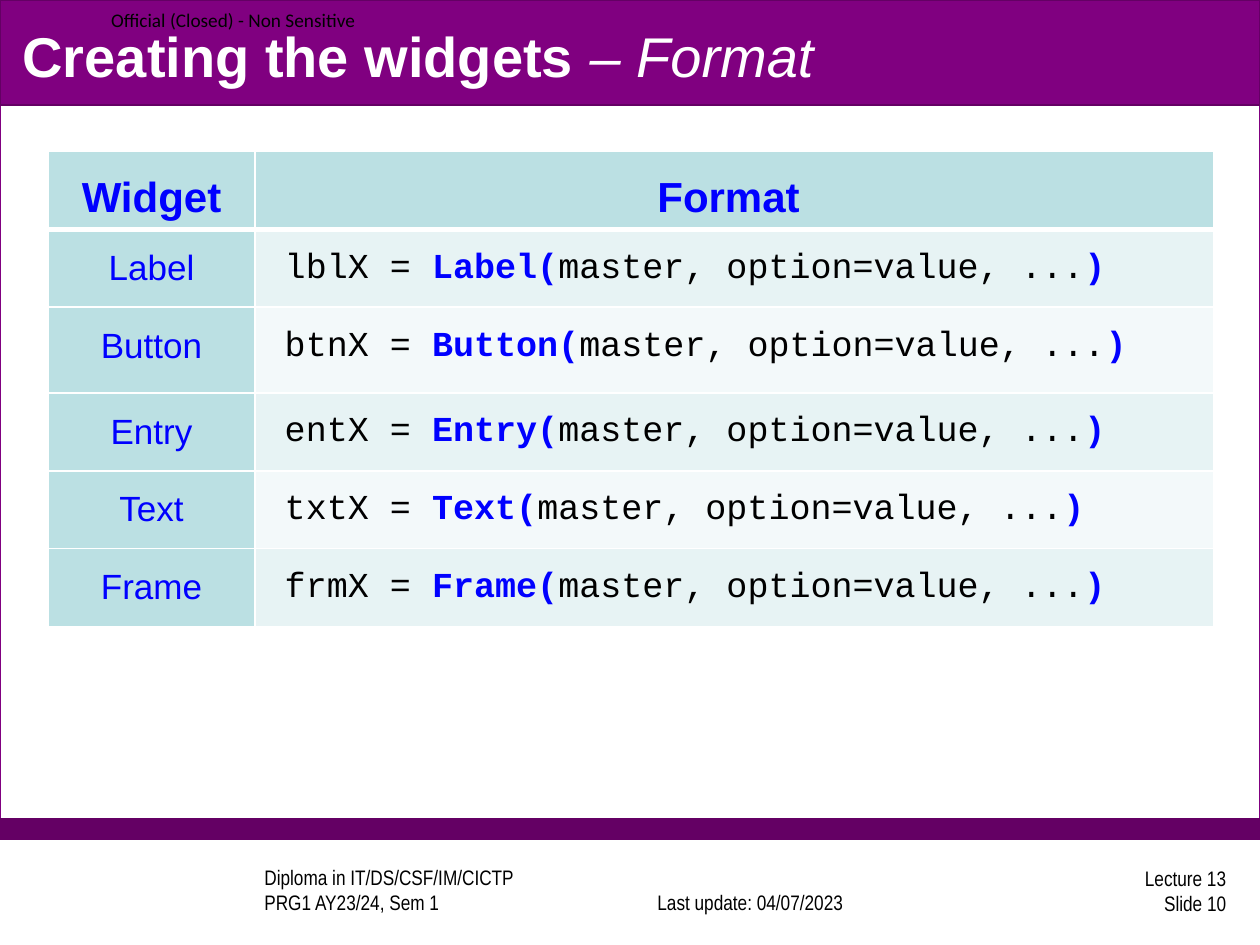
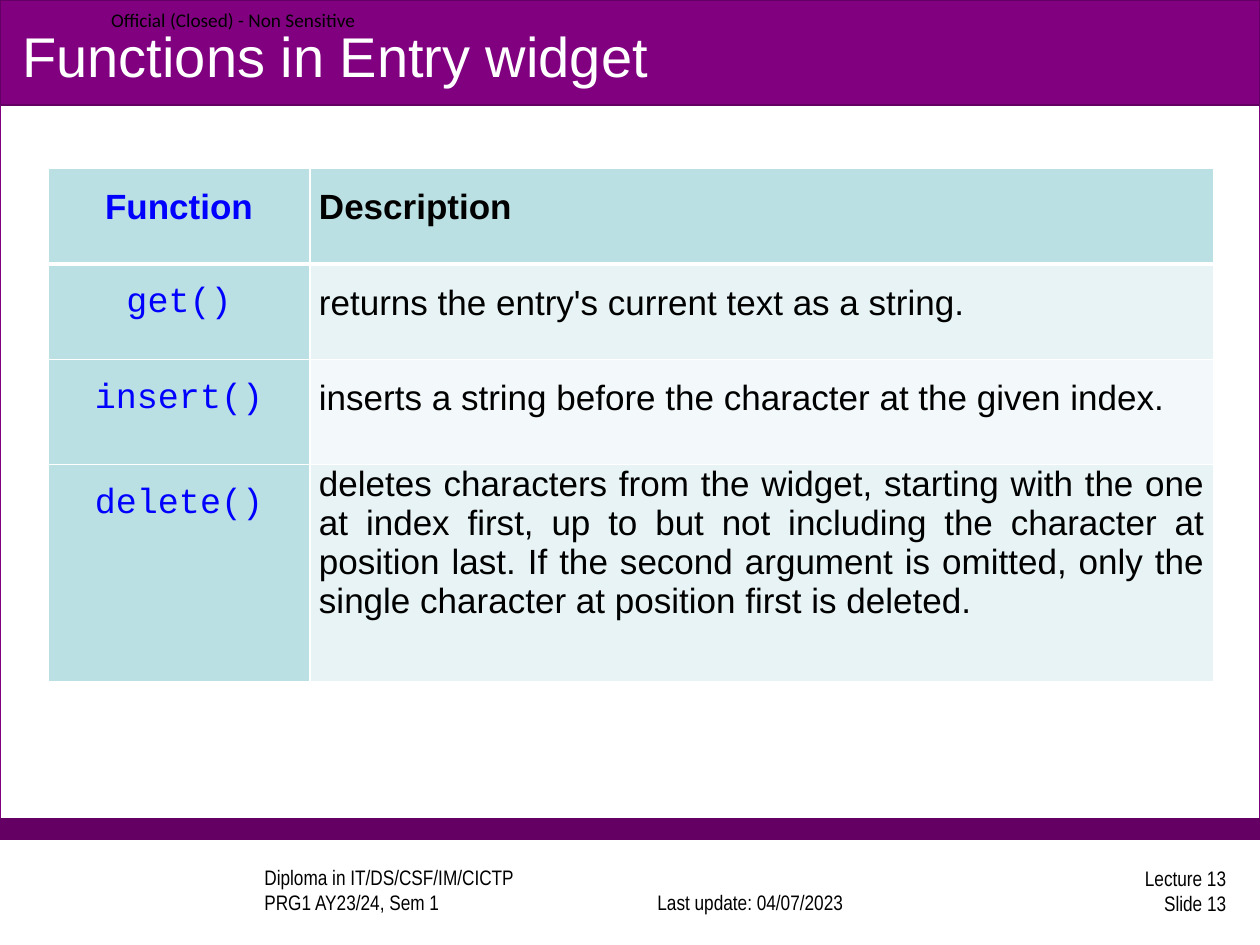
from copy import deepcopy
from dataclasses import dataclass

from lxml.etree import SubElement
from pptx import Presentation
from pptx.dml.color import RGBColor
from pptx.enum.shapes import MSO_SHAPE, PP_PLACEHOLDER
from pptx.enum.text import MSO_ANCHOR, MSO_AUTO_SIZE, PP_ALIGN
from pptx.oxml import parse_xml
from pptx.oxml.ns import nsdecls, qn
from pptx.util import Cm, Pt


@dataclass(frozen=True)
class Theme:
    """Colours, fonts and type sizes of the deck."""
    purple: str = "800080"
    dark_purple: str = "640064"
    white: str = "FFFFFF"
    black: str = "000000"
    blue: str = "0000FF"
    header_fill: str = "BBE0E3"
    band_fills: tuple = ("E7F3F4", "F3F9FA")
    sans: str = "Arial"
    narrow: str = "Arial Narrow"
    label: str = "Calibri"
    code: str = "Courier New"
    title_size: int = 32
    heading_size: int = 24
    body_size: int = 20
    footer_size: int = 12
    label_size: int = 11


THEME = Theme()
SLIDE_WIDTH = 25.4
CELL_INSET = 0.18
CODE_INSET = 0.6


def write_text(paragraph, text, font=THEME.sans, size=THEME.body_size,
               color=THEME.black, bold=False, italic=False):
    """Append formatted text to a paragraph; a newline becomes a line break."""
    previous = None
    for line in text.split("\n"):
        if previous is not None:
            paragraph.add_line_break()
            previous._r.getnext().append(deepcopy(previous._r.rPr))
        run = paragraph.add_run()
        run.text = line
        run.font.name = font
        run.font.size = Pt(size)
        run.font.color.rgb = RGBColor.from_string(color)
        run.font.bold = bold
        run.font.italic = italic
        previous = run


def add_band(slide, top, height, fill, line, opacity=None):
    """Add a full-width rectangle, optionally translucent."""
    band = slide.shapes.add_shape(MSO_SHAPE.RECTANGLE, 0, Cm(top),
                                  Cm(SLIDE_WIDTH), Cm(height))
    band.shadow.inherit = False
    band.fill.solid()
    band.fill.fore_color.rgb = RGBColor.from_string(fill)
    band.line.color.rgb = RGBColor.from_string(line)
    band.line.width = Pt(0.75)
    if opacity is not None:
        color = band.element.find(".//" + qn("a:srgbClr"))
        SubElement(color, qn("a:alpha")).set("val", str(opacity * 1000))
    return band


def add_text_box(slide, left, top, width, height, text, anchor=MSO_ANCHOR.MIDDLE,
                 align=PP_ALIGN.LEFT, left_inset=0.25, edge_inset=0.13, **text_format):
    """Add a wrapped text box holding one paragraph."""
    box = slide.shapes.add_textbox(Cm(left), Cm(top), Cm(width), Cm(height))
    frame = box.text_frame
    frame.word_wrap = True
    frame.vertical_anchor = anchor
    frame.margin_left = Cm(left_inset)
    frame.margin_top = frame.margin_bottom = Cm(edge_inset)
    paragraph = frame.paragraphs[0]
    paragraph.alignment = align
    write_text(paragraph, text, **text_format)
    return box


def add_footer(slide, left, top, width, text, **box_format):
    """Add one of the three footer texts."""
    return add_text_box(slide, left, top, width, 1.07, text, font=THEME.narrow,
                        size=THEME.footer_size, **box_format)


def build_layout(layout, slide):
    """Move the shared bands and texts onto the layout used by every slide."""
    for placeholder in list(layout.placeholders):
        if placeholder.placeholder_format.type != PP_PLACEHOLDER.TITLE:
            layout.shapes.element.remove(placeholder.element)
    shared = [
        add_band(slide, 0, 16.93, THEME.white, THEME.purple, opacity=90),
        add_band(slide, 16.51, 0.42, THEME.dark_purple, THEME.dark_purple),
        add_band(slide, 0, 2.12, THEME.purple, THEME.dark_purple),
        add_footer(slide, 3.81, 17.5, 8.05,
                   "Diploma in IT/DS/CSF/IM/CICTP\nPRG1 AY23/24, Sem 1",
                   anchor=MSO_ANCHOR.BOTTOM, left_inset=1.52),
        add_footer(slide, 12.48, 17.5, 5.29, "Last update: 04/07/2023",
                   anchor=MSO_ANCHOR.BOTTOM, align=PP_ALIGN.CENTER),
        add_text_box(slide, 0, 0, 7.65, 0.79, "Official (Closed) - Non Sensitive",
                     left_inset=2.24, edge_inset=0, font=THEME.label,
                     size=THEME.label_size),
    ]
    for shape in shared:
        layout.shapes.element.append(shape.element)


def set_title(slide, parts):
    """Place the title and write its (text, format) parts."""
    title = slide.shapes.title
    title.left, title.top, title.width, title.height = (
        Cm(0.2), Cm(0.33), Cm(24.97), Cm(1.57))
    frame = title.text_frame
    frame.auto_size = MSO_AUTO_SIZE.NONE
    frame.vertical_anchor = MSO_ANCHOR.MIDDLE
    paragraph = frame.paragraphs[0]
    paragraph.alignment = PP_ALIGN.LEFT
    for text, text_format in parts:
        write_text(paragraph, text, size=THEME.title_size, color=THEME.white,
                   **text_format)


def set_borders(cell, row_index):
    """Draw white cell borders, thicker below the header row."""
    widths = {"lnL": 1, "lnR": 1, "lnT": 3 if row_index == 1 else 1,
              "lnB": 3 if row_index == 0 else 1}
    properties = cell._tc.get_or_add_tcPr()
    for position, (side, width) in enumerate(widths.items()):
        properties.insert(position, parse_xml(
            f'<a:{side} {nsdecls("a")} w="{Pt(width)}"><a:solidFill>'
            f'<a:srgbClr val="{THEME.white}"/></a:solidFill></a:{side}>'))


def fill_cell(cell, parts, align=PP_ALIGN.LEFT, spacing=1.5, left_inset=CELL_INSET):
    """Write (text, format) parts into a table cell."""
    cell.margin_left, cell.margin_right = Cm(left_inset), Cm(CELL_INSET)
    cell.margin_top = cell.margin_bottom = 0
    paragraph = cell.text_frame.paragraphs[0]
    paragraph.alignment = align
    paragraph.line_spacing = spacing
    for text, text_format in parts:
        write_text(paragraph, text, **text_format)


def add_grid(slide, top, column_widths, row_heights):
    """Add a table with header row, header column and banded rows."""
    table = slide.shapes.add_table(
        len(row_heights), len(column_widths), Cm(0.97), Cm(top),
        Cm(sum(column_widths)), Cm(sum(row_heights))).table
    table.first_row = table.horz_banding = False
    for column, width in zip(table.columns, column_widths):
        column.width = Cm(width)
    for row_index, height in enumerate(row_heights):
        table.rows[row_index].height = Cm(height)
        for column_index, cell in enumerate(table.rows[row_index].cells):
            is_header = row_index == 0 or column_index == 0
            cell.fill.solid()
            cell.fill.fore_color.rgb = RGBColor.from_string(
                THEME.header_fill if is_header else THEME.band_fills[(row_index - 1) % 2])
            set_borders(cell, row_index)
    return table


def add_widget_table(slide):
    """Add the table of widget constructors."""
    table = add_grid(slide, 3.05, (4.17, 19.33), (1.57, 1.57, 1.73, 1.57, 1.57, 1.57))
    heading = dict(size=THEME.heading_size, color=THEME.blue, bold=True)
    for column, text in enumerate(("Widget", "Format ")):
        fill_cell(table.cell(0, column), [(text, heading)], align=PP_ALIGN.CENTER)
    plain = dict(font=THEME.code)
    strong = dict(font=THEME.code, color=THEME.blue, bold=True)
    widgets = {"Label": "lblX", "Button": "btnX", "Entry": "entX",
               "Text": "txtX", "Frame": "frmX"}
    for row, (widget, variable) in enumerate(widgets.items(), start=1):
        fill_cell(table.cell(row, 0), [(widget, dict(color=THEME.blue))],
                  align=PP_ALIGN.CENTER)
        fill_cell(table.cell(row, 1), [
            (f"{variable} = ", plain), (f"{widget}(", strong),
            ("master, option=value, ...", plain), (")", strong),
        ], left_inset=CODE_INSET)


def add_function_table(slide):
    """Add the table of Entry functions."""
    table = add_grid(slide, 3.39, (5.28, 18.22), (1.93, 1.93, 2.11, 4.39))
    fill_cell(table.cell(0, 0), [("Function", dict(color=THEME.blue, bold=True))],
              align=PP_ALIGN.CENTER)
    fill_cell(table.cell(0, 1), [("Description", dict(bold=True))])
    justified = dict(align=PP_ALIGN.JUSTIFY, spacing=1.0)
    functions = [
        ("get()", "returns the entry's current text as a string.", {}),
        ("insert()", "inserts a string before the character at the given index.", {}),
        ("delete()", "deletes characters from the widget, starting with the one at "
         "index first, up to but not including the character at position last. If the "
         "second argument is omitted, only the single character at position first is "
         "deleted.", justified),
    ]
    for row, (name, description, cell_format) in enumerate(functions, start=1):
        fill_cell(table.cell(row, 0), [(name, dict(font=THEME.code, color=THEME.blue))],
                  align=PP_ALIGN.CENTER)
        fill_cell(table.cell(row, 1), [(description, {})], **cell_format)


def main():
    """Build and save the presentation."""
    presentation = Presentation()
    presentation.slide_width, presentation.slide_height = Cm(SLIDE_WIDTH), Cm(19.05)
    layout = presentation.slide_layouts.get_by_name("Title Only")
    slides = [
        (10, [("Creating the widgets ", dict(bold=True)),
              ("– Format ", dict(italic=True))], add_widget_table),
        (13, [("Functions in Entry widget", {})], add_function_table),
    ]
    for index, (number, title, add_content) in enumerate(slides):
        slide = presentation.slides.add_slide(layout)
        if index == 0:
            build_layout(layout, slide)
        add_footer(slide, 19.69, 17.42, 5.28, f"Lecture 13\nSlide {number}",
                   align=PP_ALIGN.RIGHT)
        set_title(slide, title)
        add_content(slide)
    presentation.save("out.pptx")


main()
